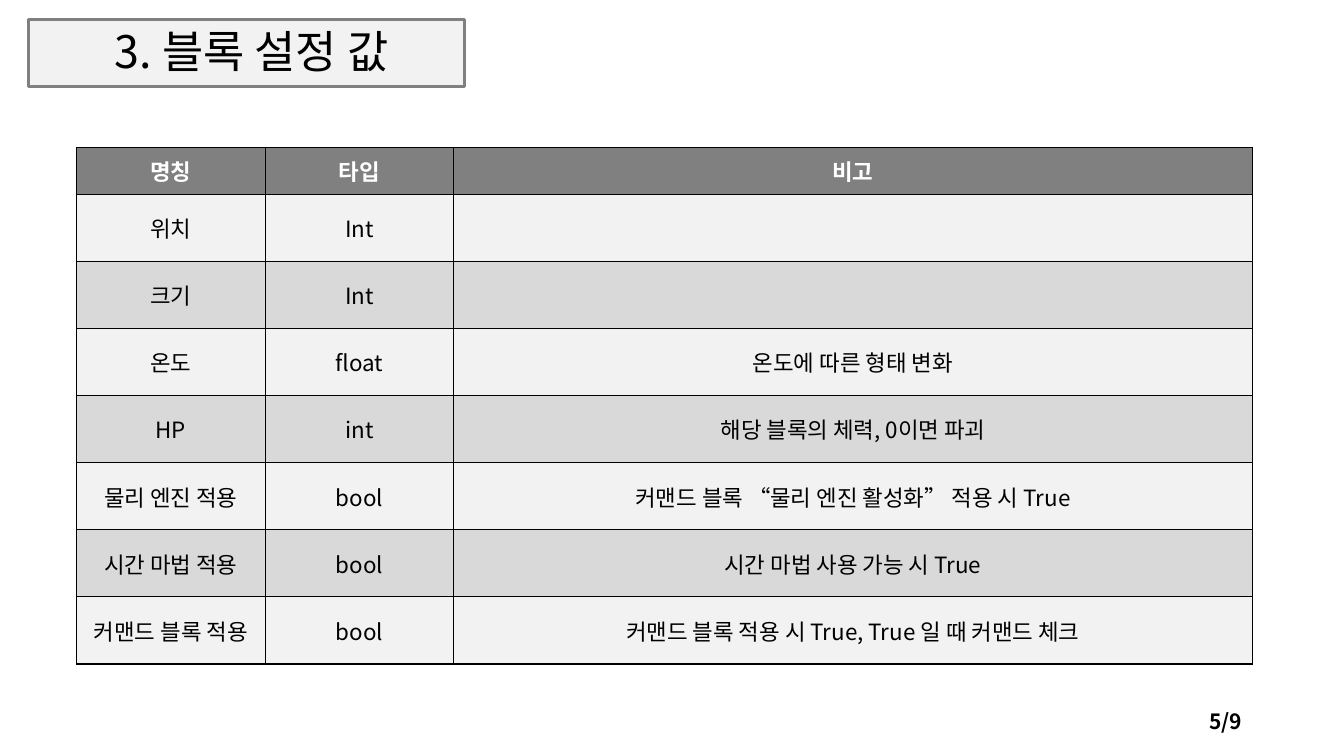
import pptx
import pptx.dml.color
import pptx.enum.shapes
import pptx.enum.text
import pptx.oxml
import pptx.oxml.ns
import pptx.util
from pptx.util import Inches

FONT = "Noto Sans CJK KR"
COLORS = {"text": "000000", "white": "FFFFFF", "gray": "808080",
          "light": "F2F2F2", "band": "D9D9D9"}
ALIGN = pptx.enum.text.PP_ALIGN
ANCHOR = pptx.enum.text.MSO_ANCHOR

HEADERS = ("명칭", "타입", "비고")
BLOCK_SETTINGS = (
    ("위치", "Int", ""),
    ("크기", "Int", ""),
    ("온도", "float", "온도에 따른 형태 변화"),
    ("HP", "int", "해당 블록의 체력, 0이면 파괴"),
    ("물리 엔진 적용", "bool", "커맨드 블록 “물리 엔진 활성화” 적용 시 True"),
    ("시간 마법 적용", "bool", "시간 마법 사용 가능 시 True"),
    ("커맨드 블록 적용", "bool", "커맨드 블록 적용 시 True, True 일 때 커맨드 체크"),
)
COLUMN_WIDTHS = (1.87, 1.87, 7.92)
HEADER_HEIGHT, TABLE_HEIGHT = 0.47, 5.13


def rgb(name):
    return pptx.dml.color.RGBColor.from_string(COLORS[name])


def set_fill(target, color):
    target.fill.solid()
    target.fill.fore_color.rgb = rgb(color)


def place(shape, left, top, width, height):
    box = {"left": left, "top": top, "width": width, "height": height}
    for name, value in box.items():
        setattr(shape, name, Inches(value))


def write(text_frame, text, size, color="text", bold=False, align=ALIGN.CENTER):
    paragraph = text_frame.paragraphs[0]
    paragraph.alignment = align
    run = paragraph.add_run()
    run.text = text
    formats = {"name": FONT, "size": pptx.util.Pt(size), "bold": bold}
    for name, value in formats.items():
        setattr(run.font, name, value)
    run.font.color.rgb = rgb(color)
    # Korean letters take the East Asian typeface
    east_asian = pptx.oxml.parse_xml(
        f'<a:ea {pptx.oxml.ns.nsdecls("a")} typeface="{FONT}"/>')
    run.font._element.find(pptx.oxml.ns.qn("a:latin")).addnext(east_asian)
    return paragraph


def add_title(slide, text):
    # Framed panel behind the title
    panel = slide.shapes.add_shape(
        pptx.enum.shapes.MSO_SHAPE.RECTANGLE,
        Inches(0.28), Inches(0.19), Inches(4.33), Inches(0.67))
    panel.shadow.inherit = False
    set_fill(panel, "light")
    panel.line.color.rgb = rgb("gray")
    panel.line.width = pptx.util.Pt(2.25)

    title = slide.shapes.title
    title._element.addprevious(panel._element)
    place(title, 0.42, 0.18, 4.15, 0.65)
    title.text_frame.auto_size = pptx.enum.text.MSO_AUTO_SIZE.NONE
    title.text_frame.vertical_anchor = ANCHOR.BOTTOM
    write(title.text_frame, text, 32).line_spacing = 0.9


def add_borders(cell):
    properties = cell._tc.get_or_add_tcPr()
    for index, side in enumerate(("lnL", "lnR", "lnT", "lnB")):
        properties.insert(index, pptx.oxml.parse_xml(
            f'<a:{side} {pptx.oxml.ns.nsdecls("a")} w="12700"><a:solidFill>'
            f'<a:srgbClr val="{COLORS["text"]}"/></a:solidFill></a:{side}>'))


def add_settings_table(slide):
    rows = (HEADERS,) + BLOCK_SETTINGS
    table = slide.shapes.add_table(
        len(rows), len(HEADERS), Inches(0.76), Inches(1.46),
        Inches(sum(COLUMN_WIDTHS)), Inches(TABLE_HEIGHT)).table
    for column, width in zip(table.columns, COLUMN_WIDTHS):
        column.width = Inches(width)
    body_height = (TABLE_HEIGHT - HEADER_HEIGHT) / len(BLOCK_SETTINGS)
    for row_index, values in enumerate(rows):
        header = row_index == 0
        table.rows[row_index].height = Inches(HEADER_HEIGHT if header else body_height)
        fill = "gray" if header else ("band", "light")[row_index % 2]
        for column_index, text in enumerate(values):
            cell = table.cell(row_index, column_index)
            cell.vertical_anchor = ANCHOR.MIDDLE
            set_fill(cell, fill)
            add_borders(cell)
            if text:
                write(cell.text_frame, text, 16, "white" if header else "text", header)


def add_page_number(slide, text):
    box = slide.shapes.add_textbox(Inches(9.42), Inches(6.95), Inches(3), Inches(0.4))
    box.text_frame.word_wrap = True
    box.text_frame.vertical_anchor = ANCHOR.MIDDLE
    write(box.text_frame, text, 15, bold=True, align=ALIGN.RIGHT)


def main():
    presentation = pptx.Presentation()
    presentation.slide_width = Inches(13.33)
    presentation.slide_height = Inches(7.5)
    slide = presentation.slides.add_slide(presentation.slide_layouts[5])
    add_title(slide, "3. 블록 설정 값")
    add_settings_table(slide)
    add_page_number(slide, "5/9")
    presentation.save("out.pptx")


if __name__ == "__main__":
    main()
